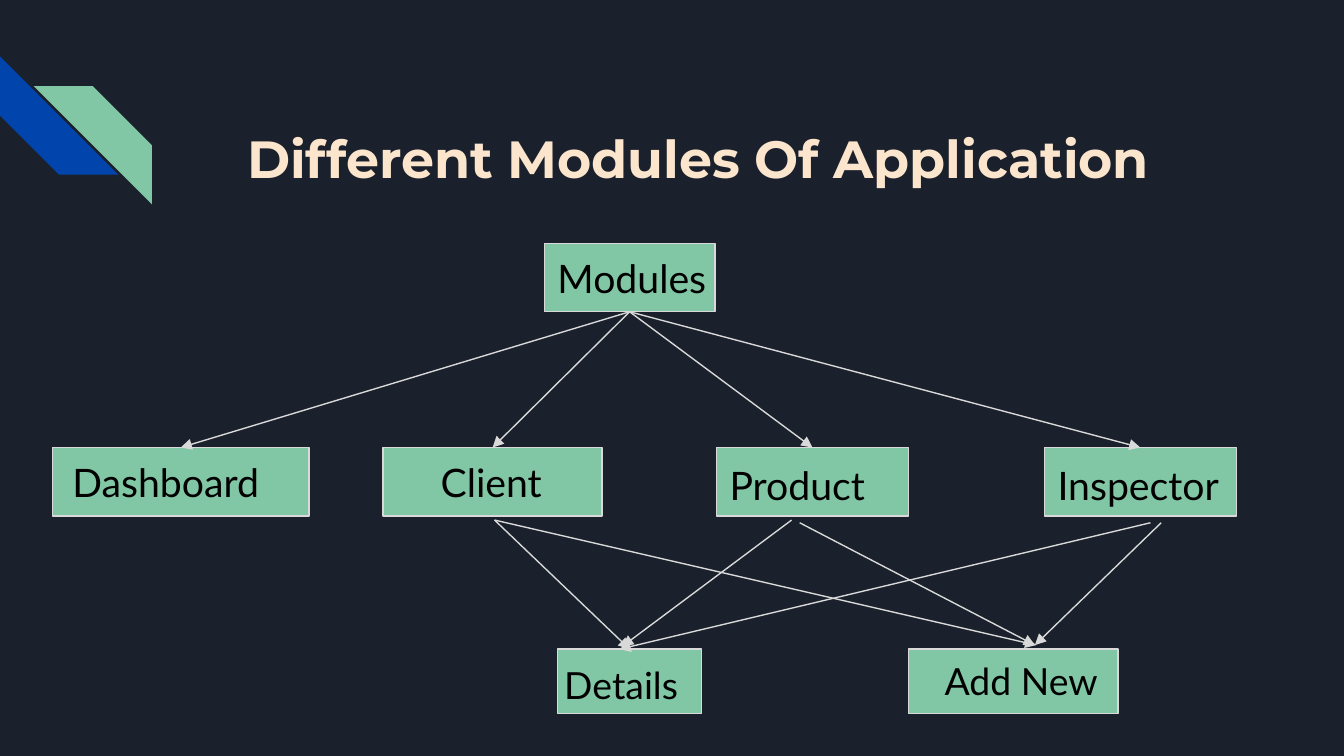
import pptx
import pptx.dml.color
import pptx.enum.shapes
import pptx.oxml.ns
import pptx.util
from lxml import etree
from pptx.util import Inches

RGBColor = pptx.dml.color.RGBColor
MSO_SHAPE = pptx.enum.shapes.MSO_SHAPE
qn = pptx.oxml.ns.qn

NAVY = RGBColor(0x1B, 0x21, 0x2C)
BLUE = RGBColor(0x01, 0x45, 0xAC)
GREEN = RGBColor(0x82, 0xC7, 0xA5)
GREY = RGBColor(0xD9, 0xD9, 0xD9)
CREAM = RGBColor(0xFC, 0xE5, 0xCD)
BLACK = RGBColor(0, 0, 0)

TOP, BOTTOM = 0, 2


def add_shape(slide, kind, left, top, width, height, fill):
    sp = slide.shapes.add_shape(
        kind, Inches(left), Inches(top), Inches(width), Inches(height))
    sp.shadow.inherit = False
    sp.fill.solid()
    sp.fill.fore_color.rgb = fill
    return sp


def add_stripe(slide, left, top, fill, rotation=0, flip=False):
    sp = add_shape(slide, MSO_SHAPE.DIAGONAL_STRIPE, left, top, 0.88, 0.88, fill)
    sp.line.fill.background()
    sp.rotation = rotation
    if flip:
        sp._element.spPr.find(qn("a:xfrm")).set("flipH", "1")


def add_box(slide, left, top, width, height):
    sp = add_shape(slide, MSO_SHAPE.RECTANGLE, left, top, width, height, GREEN)
    sp.line.color.rgb = GREY
    sp.line.width = pptx.util.Pt(0.75)
    return sp


def add_text(slide, text, left, top, width, height, size,
             font="Lato", color=BLACK, bold=False):
    sp = slide.shapes.add_textbox(
        Inches(left), Inches(top), Inches(width), Inches(height))
    tf = sp.text_frame
    tf.word_wrap = True
    tf.margin_left = tf.margin_right = Inches(0.1)
    tf.margin_top = tf.margin_bottom = Inches(0.1)
    p = tf.paragraphs[0]
    p.text = text
    p.font.size = pptx.util.Pt(size)
    p.font.name = font
    p.font.color.rgb = color
    p.font.bold = bold


def add_arrow(slide, start, end, source=None, target=None):
    line = slide.shapes.add_connector(
        pptx.enum.shapes.MSO_CONNECTOR.STRAIGHT,
        *(Inches(v) for v in (*start, *end)))
    line.line.color.rgb = GREY
    line.line.width = pptx.util.Pt(0.75)
    properties = line._element.spPr
    etree.SubElement(properties.find(qn("a:ln")), qn("a:tailEnd"), type="triangle")
    etree.SubElement(properties, qn("a:effectLst"))
    if source is not None:
        line.begin_connect(source, BOTTOM)
    if target is not None:
        line.end_connect(target, TOP)


def main():
    prs = pptx.Presentation()
    prs.slide_width, prs.slide_height = Inches(10), Inches(10 * 9 / 16)
    slide = prs.slides.add_slide(prs.slide_layouts[6])
    slide.background.fill.solid()
    slide.background.fill.fore_color.rgb = NAVY

    add_stripe(slide, 0, 0.42, BLUE, rotation=270)
    add_stripe(slide, 0.25, 0.64, GREEN, flip=True)
    add_text(slide, "Different Modules Of Application", 1.74, 0.84, 7.7, 1,
             28, "Montserrat", CREAM, True)

    modules = add_box(slide, 4.05, 1.81, 1.27, 0.51)
    for left, width in ((0.39, 1.91), (2.85, 1.63), (5.33, 1.43), (7.77, 1.43)):
        box = add_box(slide, left, 3.33, width, 0.51)
        add_arrow(slide, (4.69, 2.32), (left + width / 2, 3.33), modules, box)
    details = add_box(slide, 4.15, 4.83, 1.07, 0.48)
    add_box(slide, 6.76, 4.83, 1.56, 0.48)

    labels = (
        ("Modules", 4.05, 1.79, 1.56, 0.56, 21),
        ("Dashboard", 0.44, 3.31, 1.75, 0.56, 21),
        ("Client", 3.18, 3.31, 1.01, 0.56, 21),
        ("Product", 5.33, 3.33, 1.25, 0.56, 21),
        ("Inspector", 7.77, 3.33, 1.75, 0.56, 21),
        ("Details", 4.1, 4.83, 1.17, 0.54, 20),
        ("Add New", 6.93, 4.8, 1.56, 0.54, 20),
    )
    for label in labels:
        add_text(slide, *label)

    add_arrow(slide, (3.68, 3.87), (4.69, 4.83), target=details)
    for start, end in (
        ((3.68, 3.87), (7.71, 4.8)),
        ((8.56, 3.89), (4.61, 4.83)),
        ((8.64, 3.89), (7.7, 4.8)),
        ((5.89, 3.87), (4.63, 4.81)),
        ((5.95, 3.89), (7.7, 4.8)),
    ):
        add_arrow(slide, start, end)

    prs.save("out.pptx")


if __name__ == "__main__":
    main()
